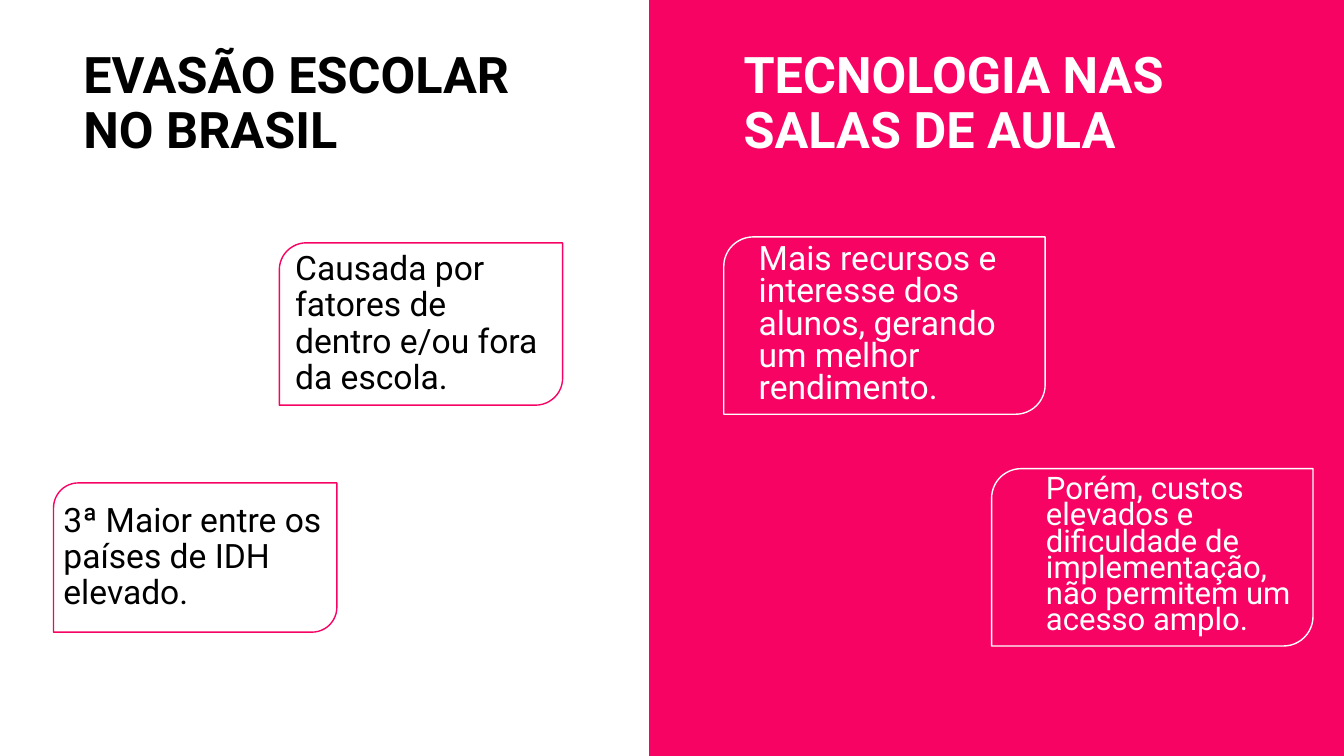
from lxml.etree import SubElement
from pptx import Presentation
from pptx.dml.color import RGBColor
from pptx.enum.shapes import MSO_SHAPE
from pptx.enum.text import MSO_ANCHOR
from pptx.oxml.ns import qn
from pptx.util import Cm, Pt

PINK = RGBColor(0xF6, 0x03, 0x64)
WHITE = RGBColor(0xFF, 0xFF, 0xFF)
BLACK = RGBColor(0x00, 0x00, 0x00)

SLIDE_WIDTH, SLIDE_HEIGHT = 33.87, 19.05
PANEL_LEFT = 16.36
TITLE_WIDTH, TITLE_HEIGHT = 12.42, 3.56
TITLE_TOP = 0.86

# Title left edge, text, colour
TITLES = [
    (1.85, "EVASÃO ESCOLAR NO BRASIL", BLACK),
    (18.49, "TECNOLOGIA NAS SALAS DE AULA", WHITE),
]

# Outline box, outline colour, text left and width, text, text format
CARDS = [
    ((1.35, 12.17, 7.14, 3.76), PINK, 1.35, 7.14,
     "3ª Maior entre os países de IDH elevado.",
     {"color": BLACK, "size": 24, "spacing": 0.9}),
    ((7.04, 6.12, 7.14, 4.09), PINK, 7.19, 6.83,
     "Causada por fatores de dentro e/ou fora da escola.",
     {"color": BLACK, "size": 24, "spacing": 0.9}),
    ((18.24, 5.97, 8.1, 4.47), WHITE, 18.87, 7.32,
     "Mais recursos e interesse dos alunos, gerando um melhor rendimento.",
     {"color": WHITE, "size": 24, "spacing": 0.8}),
    ((24.99, 11.81, 8.1, 4.47), WHITE, 26.11, 7.32,
     "Porém, custos elevados e dificuldade de implementação, "
     "não permitem um acesso amplo.",
     {"color": WHITE, "size": 22.2, "spacing": 0.7}),
]


def to_cm(box):
    return [Cm(length) for length in box]


def add_panel(slide, box):
    panel = slide.shapes.add_shape(MSO_SHAPE.RECTANGLE, *to_cm(box))
    panel.shadow.inherit = False
    panel.fill.solid()
    panel.fill.fore_color.rgb = PINK
    panel.line.fill.background()


def add_outline(slide, box, color):
    outline = slide.shapes.add_shape(
        MSO_SHAPE.ROUND_2_DIAG_RECTANGLE, *to_cm(box))
    outline.shadow.inherit = False
    outline.fill.background()
    outline.line.color.rgb = color
    outline.line.width = Pt(1)


def add_text(slide, box, text, color, size, spacing, bold=False):
    text_box = slide.shapes.add_textbox(*to_cm(box))
    frame = text_box.text_frame
    frame.word_wrap = True
    frame.vertical_anchor = MSO_ANCHOR.MIDDLE
    paragraph = frame.paragraphs[0]
    paragraph.line_spacing = spacing
    run = paragraph.add_run()
    run.text = text
    font_format = {"name": "Roboto", "size": Pt(size), "bold": bold}
    for attribute, value in font_format.items():
        setattr(run.font, attribute, value)
    run.font.color.rgb = color


def add_card(slide, box, line_color, text_left, text_width, text, text_format):
    """Draw an outline with text centred on its height."""
    add_outline(slide, box, line_color)
    _, top, _, height = box
    add_text(slide, (text_left, top, text_width, height), text, **text_format)


def main():
    presentation = Presentation()
    presentation.slide_width = Cm(SLIDE_WIDTH)
    presentation.slide_height = Cm(SLIDE_HEIGHT)
    slide = presentation.slides.add_slide(presentation.slide_layouts[6])

    add_panel(slide, (PANEL_LEFT, 0, SLIDE_WIDTH - PANEL_LEFT, SLIDE_HEIGHT))
    for left, text, color in TITLES:
        add_text(slide, (left, TITLE_TOP, TITLE_WIDTH, TITLE_HEIGHT), text,
                 color=color, size=36, spacing=0.9, bold=True)
    for card in CARDS:
        add_card(slide, *card)

    presentation.save("out.pptx")


if __name__ == "__main__":
    main()
